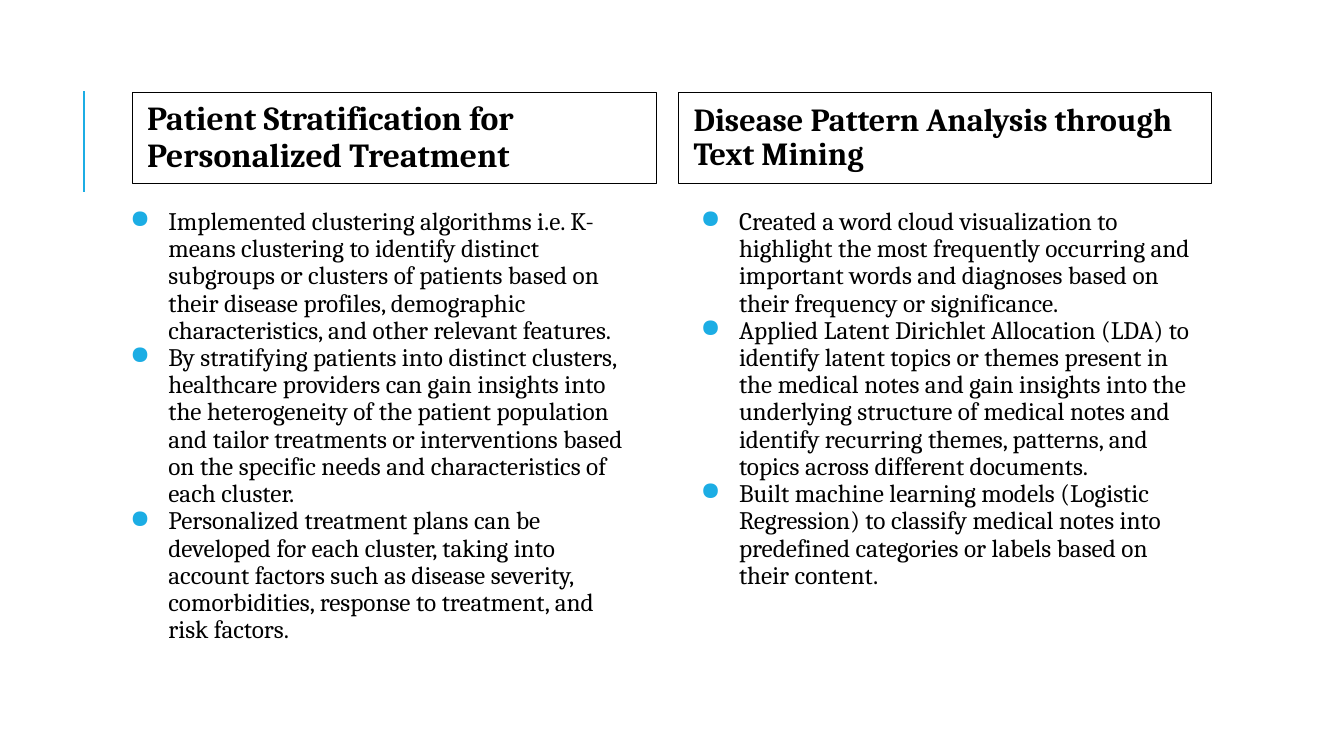
from dataclasses import dataclass

from lxml.etree import SubElement
from pptx import Presentation
from pptx.dml.color import RGBColor
from pptx.enum.shapes import MSO_CONNECTOR, MSO_SHAPE
from pptx.enum.text import MSO_ANCHOR, PP_ALIGN
from pptx.oxml.ns import qn
from pptx.util import Inches, Pt


@dataclass(frozen=True)
class Theme:
    font: str = "Cambria"
    ink: RGBColor = RGBColor(0x00, 0x00, 0x00)
    accent: RGBColor = RGBColor(0x1C, 0xAD, 0xE4)
    body_size: int = 18
    border: float = 0.75
    accent_line: float = 1.5
    line_spacing: float = 0.9
    inset: float = 0.05
    heading_inset: float = 0.15
    bullet: str = "●"
    indent: float = 0.5
    hanging: float = 0.38


class ComparisonSlide:
    """Draw headed bullet columns on one slide in a shared style."""

    def __init__(self, slide, theme):
        self.slide = slide
        self.theme = theme

    def apply(self, target, values):
        for name, value in values.items():
            setattr(target, name, value)

    def frame(self, shape, anchor, side_inset):
        text_frame = shape.text_frame
        self.apply(text_frame, {
            "word_wrap": True,
            "vertical_anchor": anchor,
            "margin_left": Inches(side_inset),
            "margin_right": Inches(side_inset),
            "margin_top": Inches(self.theme.inset),
            "margin_bottom": Inches(self.theme.inset),
        })
        return text_frame

    def set_text(self, paragraph, text, size, bold=False):
        paragraph.text = text
        self.apply(paragraph, {
            "alignment": PP_ALIGN.LEFT,
            "line_spacing": self.theme.line_spacing,
            "space_before": Pt(0),
            "space_after": Pt(0),
        })
        self.apply(paragraph.font, {
            "name": self.theme.font, "size": Pt(size), "bold": bold,
        })
        paragraph.font.color.rgb = self.theme.ink

    def accent_rule(self, x, top, bottom):
        rule = self.slide.shapes.add_connector(
            MSO_CONNECTOR.STRAIGHT, Inches(x), Inches(bottom), Inches(x), Inches(top))
        rule.line.color.rgb = self.theme.accent
        rule.line.width = Pt(self.theme.accent_line)
        SubElement(rule._element.spPr, qn("a:effectLst"))

    def heading(self, text, left, top, width, height, size):
        box = self.slide.shapes.add_shape(
            MSO_SHAPE.RECTANGLE, Inches(left), Inches(top), Inches(width), Inches(height))
        box.shadow.inherit = False
        box.fill.background()
        box.line.color.rgb = self.theme.ink
        box.line.width = Pt(self.theme.border)
        text_frame = self.frame(box, MSO_ANCHOR.MIDDLE, self.theme.heading_inset)
        self.set_text(text_frame.paragraphs[0], text, size, bold=True)

    def add_bullet(self, paragraph):
        properties = paragraph._p.get_or_add_pPr()
        properties.set("marL", str(Inches(self.theme.indent)))
        properties.set("indent", str(-Inches(self.theme.hanging)))
        colour = SubElement(properties, qn("a:buClr"))
        SubElement(colour, qn("a:srgbClr"), val=str(self.theme.accent))
        SubElement(properties, qn("a:buChar"), char=self.theme.bullet)

    def bullets(self, points, left, top, width, height):
        box = self.slide.shapes.add_textbox(
            Inches(left), Inches(top), Inches(width), Inches(height))
        text_frame = self.frame(box, MSO_ANCHOR.TOP, self.theme.inset)
        for index, point in enumerate(points):
            paragraph = text_frame.add_paragraph() if index else text_frame.paragraphs[0]
            self.add_bullet(paragraph)
            self.set_text(paragraph, point, self.theme.body_size)


COLUMNS = [
    {
        "heading": "Patient Stratification for Personalized Treatment",
        "heading_left": 1.31, "heading_width": 5.2, "heading_size": 24,
        "points_left": 1.12,
        "points": [
            "Implemented clustering algorithms i.e. K-means clustering to identify distinct "
            "subgroups or clusters of patients based on their disease profiles, demographic "
            "characteristics, and other relevant features.",
            "By stratifying patients into distinct clusters, healthcare providers can gain "
            "insights into the heterogeneity of the patient population and tailor treatments "
            "or interventions based on the specific needs and characteristics of each cluster.",
            "Personalized treatment plans can be developed for each cluster, taking into "
            "account factors such as disease severity, comorbidities, response to treatment, "
            "and risk factors.",
        ],
    },
    {
        "heading": "Disease Pattern Analysis through Text Mining",
        "heading_left": 6.73, "heading_width": 5.29, "heading_size": 23,
        "points_left": 6.78,
        "points": [
            "Created a word cloud visualization to highlight the most frequently occurring and "
            "important words and diagnoses based on their frequency or significance.",
            "Applied Latent Dirichlet Allocation (LDA) to identify latent topics or themes "
            "present in the medical notes and gain insights into the underlying structure of "
            "medical notes and identify recurring themes, patterns, and topics across "
            "different documents.",
            "Built machine learning models (Logistic Regression) to classify medical notes "
            "into predefined categories or labels based on their content.",
        ],
    },
]


def main():
    deck = Presentation()
    deck.slide_width = Inches(13.33)
    deck.slide_height = Inches(7.5)
    blank_layout = deck.slide_layouts[6]
    comparison = ComparisonSlide(deck.slides.add_slide(blank_layout), Theme())

    comparison.accent_rule(0.83, 0.9, 1.9)
    for column in COLUMNS:
        comparison.heading(column["heading"], column["heading_left"], 0.92,
                           column["heading_width"], 0.9, column["heading_size"])
        comparison.bullets(column["points"], column["points_left"], 2.02, 5.2, 4.88)

    deck.save("out.pptx")


if __name__ == "__main__":
    main()
